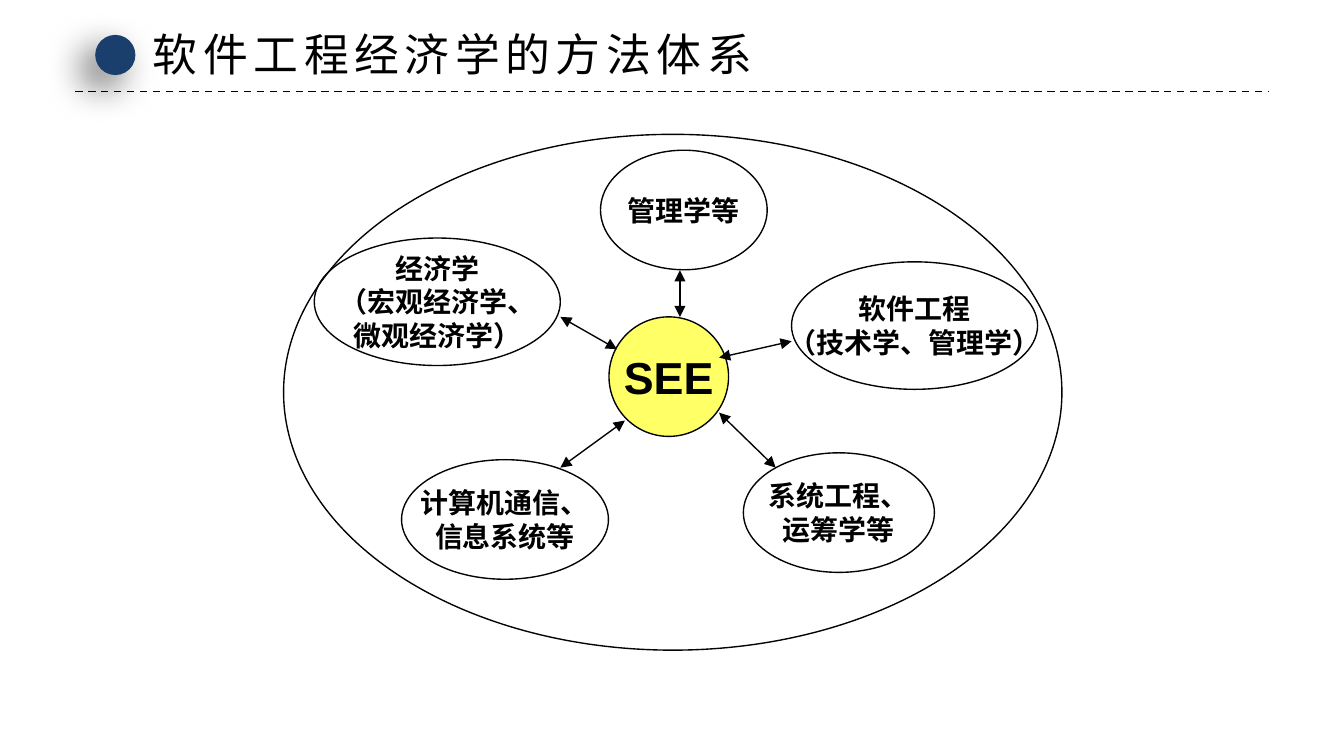
"""Build the slide on the method system of software engineering economics."""
import pptx
import pptx.dml.color
import pptx.enum.dml
import pptx.enum.shapes
import pptx.enum.text
import pptx.oxml
import pptx.oxml.ns
import pptx.util

Cm = pptx.util.Cm
Pt = pptx.util.Pt
CJK_FONT = "Noto Sans CJK SC"
BLACK = "000000"
INK = "010307"


def color(hex_code):
    return pptx.dml.color.RGBColor.from_string(hex_code)


def add_xml(parent, xml):
    namespace = pptx.oxml.ns.nsdecls("a")
    parent.append(pptx.oxml.parse_xml(xml.replace(" ", f" {namespace} ", 1)))


class Diagram:
    """Hold the style and the slide, and draw each kind of element."""

    def __init__(self, slide):
        self.slide = slide
        self.line_width = Pt(0.75)

    def add_text(self, paragraph, text, size, font, bold=False):
        run = paragraph.add_run()
        run.text = text
        run.font.name = font
        run.font.size = Pt(size)
        run.font.bold = bold
        run.font.color.rgb = color(BLACK)
        add_xml(run.font._element, f'<a:ea typeface="{CJK_FONT}" />')
        return run

    def title(self, text, left, top, width, height):
        heading = self.slide.shapes.add_textbox(Cm(left), Cm(top), Cm(width), Cm(height))
        frame = heading.text_frame
        frame.word_wrap = False
        frame.auto_size = pptx.enum.text.MSO_AUTO_SIZE.SHAPE_TO_FIT_TEXT
        run = self.add_text(frame.paragraphs[0], text, 24, CJK_FONT)
        run.font._element.set("spc", "300")

    def ellipse(self, left, top, width, height, lines=(), size=15, fill=None, outline=INK):
        oval = self.slide.shapes.add_shape(
            pptx.enum.shapes.MSO_SHAPE.OVAL, Cm(left), Cm(top), Cm(width), Cm(height))
        oval.shadow.inherit = False
        if fill:
            oval.fill.solid()
            oval.fill.fore_color.rgb = color(fill)
        else:
            oval.fill.background()
        if outline:
            oval.line.color.rgb = color(outline)
            oval.line.width = self.line_width
        else:
            oval.line.fill.background()
        frame = oval.text_frame
        frame.word_wrap = False
        frame.vertical_anchor = pptx.enum.text.MSO_ANCHOR.MIDDLE
        for index, text in enumerate(lines):
            paragraph = frame.add_paragraph() if index else frame.paragraphs[0]
            paragraph.alignment = pptx.enum.text.PP_ALIGN.CENTER
            properties = paragraph._p.get_or_add_pPr()
            properties.set("marL", str(int(Cm(0.95))))
            properties.set("indent", str(-int(Cm(0.95))))
            self.add_text(paragraph, text, size, "Arial", bold=True)
        return oval

    def dot(self, left, top, diameter, fill):
        bullet = self.ellipse(left, top, diameter, diameter, fill=fill, outline=None)
        effects = bullet._element.spPr.find(pptx.oxml.ns.qn("a:effectLst"))
        add_xml(effects, f'<a:outerShdw blurRad="{int(Pt(20))}" dist="{int(Pt(10))}" '
                         'dir="8100000" algn="tr" rotWithShape="0"><a:srgbClr val="000000">'
                         '<a:alpha val="60000"/></a:srgbClr></a:outerShdw>')

    def line(self, start, end, hex_code=INK):
        connector = self.slide.shapes.add_connector(
            pptx.enum.shapes.MSO_CONNECTOR.STRAIGHT, *map(Cm, start + end))
        connector.line.color.rgb = color(hex_code)
        connector.line.width = self.line_width
        add_xml(connector._element.spPr, "<a:effectLst />")
        return connector

    def rule(self, start, end):
        divider = self.line(start, end, BLACK)
        divider.line.width = Pt(1)
        divider.line.dash_style = pptx.enum.dml.MSO_LINE.DASH

    def double_arrow(self, start, end):
        outline = self.line(start, end).line._get_or_add_ln()
        for tip in ("headEnd", "tailEnd"):
            add_xml(outline, f'<a:{tip} type="triangle" />')


def main():
    deck = pptx.Presentation()
    deck.slide_width, deck.slide_height = Cm(25.4), Cm(14.29)
    diagram = Diagram(deck.slides.add_slide(deck.slide_layouts[6]))

    diagram.rule((1.42, 1.73), (23.98, 1.73))
    diagram.dot(1.8, 0.66, 0.76, "1A3F6C")
    diagram.title("软件工程经济学的方法体系", 2.64, 0.38, 12.07, 1.27)

    diagram.ellipse(5.36, 2.54, 14.71, 9.75)
    diagram.ellipse(11.51, 5.99, 2.26, 2.26, ["SEE"], size=24, fill="FFFF66")
    disciplines = [
        (11.35, 2.84, 3.15, 2.26, ["管理学等"]),
        (14.96, 4.95, 4.65, 2.41, ["软件工程", "（技术学、管理学）"]),
        (5.94, 4.5, 4.65, 2.41, ["经济学", "（宏观经济学、", "微观经济学）"]),
        (14.05, 8.56, 3.61, 2.26, ["系统工程、", "运筹学等"]),
        (7.59, 8.69, 3.91, 2.26, ["计算机通信、", "信息系统等"]),
    ]
    for discipline in disciplines:
        diagram.ellipse(*discipline)

    exchanges = [
        ((11.81, 7.95), (10.59, 8.84)),
        ((13.59, 7.8), (14.66, 8.84)),
        ((12.85, 5.11), (12.85, 5.99)),
        ((13.59, 6.76), (14.96, 6.45)),
        ((11.66, 6.6), (10.59, 5.99)),
    ]
    for start, end in exchanges:
        diagram.double_arrow(start, end)

    deck.save("out.pptx")


if __name__ == "__main__":
    main()
